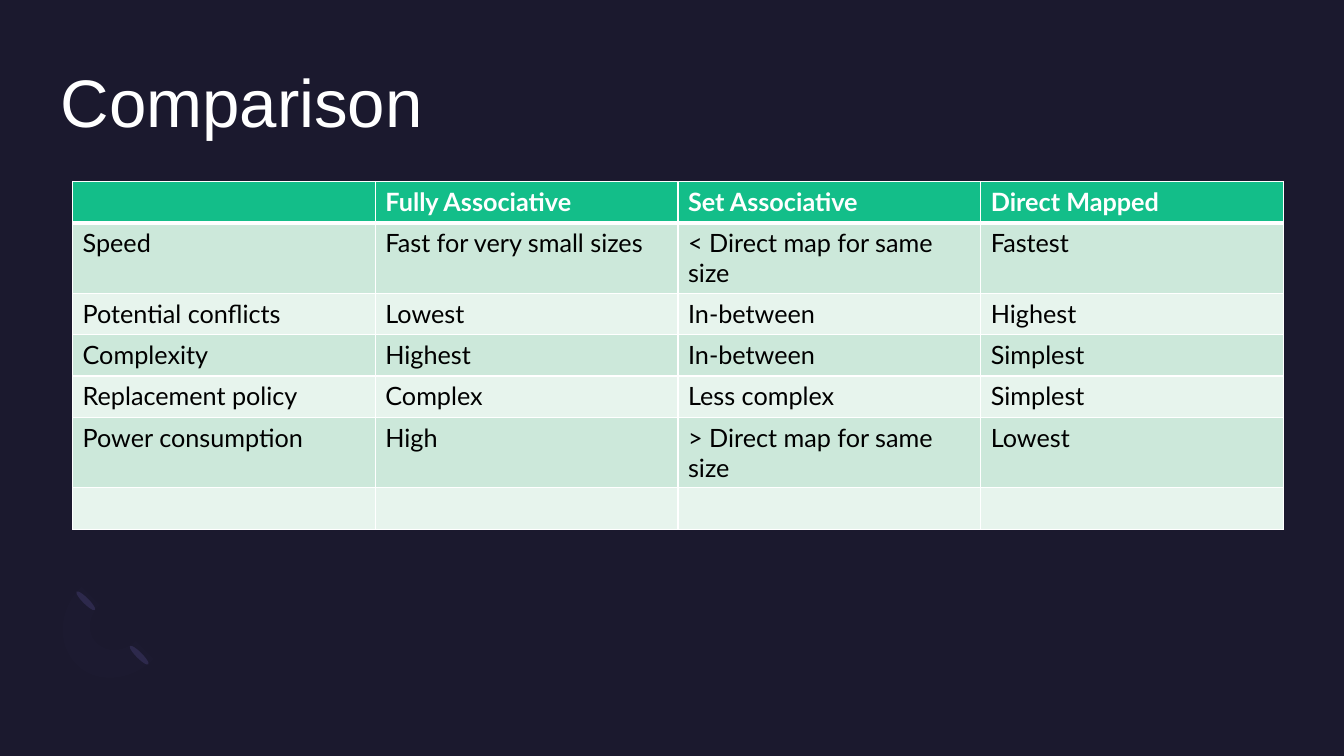
from dataclasses import dataclass

from lxml import etree
from pptx import Presentation
from pptx import util as u
from pptx.dml.color import RGBColor
from pptx.enum import shapes, text
from pptx.oxml import ns

PX = 9144  # EMU per px, 100 px to the inch
NAVY, WHITE, BLACK = "1B192E", "FFFFFF", "000000"
GREEN, MINT, PALE = "13BE89", "CCE8DA", "E7F4ED"
INDIGO, LILAC = "2C284A", "7771B2"

ROWS = [
    ("", "Fully Associative", "Set Associative", "Direct Mapped"),
    ("Speed", "Fast for very small sizes", "< Direct map for same size", "Fastest"),
    ("Potential conflicts", "Lowest", "In-between", "Highest"),
    ("Complexity", "Highest", "In-between", "Simplest"),
    ("Replacement policy", "Complex", "Less complex", "Simplest"),
    ("Power consumption", "High", "> Direct map for same size", "Lowest"),
    ("", "", "", ""),
]


@dataclass
class Petal:
    left: int
    top: int
    width: int = 6
    height: int = 26
    angle: int = 135


PETALS = [Petal(135, 637), Petal(82, 583)]

# Ring outline: each step is one end point, or two control points and an end point
RING_START = (76, 659)
RING_STEPS = [
    [(56, 639), (58, 605), (81, 582)],
    [(99, 600)],
    [(87, 611), (86, 629), (96, 638)],
    [(106, 648), (123, 647), (135, 636)],
    [(152, 654)],
    [(130, 676), (95, 679), (76, 659)],
]


def px(n: float) -> int:
    return u.Emu(round(n * PX))


def rgb(color: str) -> RGBColor:
    return RGBColor.from_string(color)


def paint(sp, color: str) -> None:
    sp.fill.solid()
    sp.fill.fore_color.rgb = rgb(color)
    sp.line.fill.background()
    sp.shadow.inherit = False


def write(tf, words: str, *, size: int, font: str, color: str, bold: bool = False) -> None:
    r = tf.paragraphs[0].add_run()
    r.text = words
    r.font.size = u.Pt(size)
    r.font.name = font
    r.font.bold = bold
    r.font.color.rgb = rgb(color)


def curve(start: tuple, step: list, parts: int = 12) -> list:
    """Points along a straight or cubic step."""
    if len(step) == 1:
        return step
    points = [start, *step]
    weights = (1, 3, 3, 1)
    return [
        tuple(
            sum(w * (1 - t) ** (3 - i) * t ** i * p[axis]
                for i, (w, p) in enumerate(zip(weights, points)))
            for axis in (0, 1)
        )
        for t in (k / parts for k in range(1, parts + 1))
    ]


def draw_petal(slide, petal: Petal) -> None:
    sp = slide.shapes.add_shape(shapes.MSO_SHAPE.OVAL, px(petal.left), px(petal.top),
                                px(petal.width), px(petal.height))
    sp.rotation = petal.angle
    paint(sp, INDIGO)


def draw_ring(slide) -> None:
    outline, here = [], RING_START
    for step in RING_STEPS:
        outline += curve(here, step)
        here = step[-1]
    builder = slide.shapes.build_freeform(px(RING_START[0]), px(RING_START[1]))
    builder.add_line_segments([(px(x), px(y)) for x, y in outline], close=True)
    sp = builder.convert_to_shape()
    paint(sp, LILAC)
    color = sp.fill._xPr.find(".//" + ns.qn("a:srgbClr"))
    etree.SubElement(color, ns.qn("a:alpha"), val="2000")


def set_borders(cell, bottom: int) -> None:
    tc_pr = cell._tc.get_or_add_tcPr()
    for side, width in (("L", 1), ("R", 1), ("T", 1), ("B", bottom)):
        ln = etree.SubElement(tc_pr, ns.qn(f"a:ln{side}"), w=str(u.Pt(width)))
        fill = etree.SubElement(ln, ns.qn("a:solidFill"))
        etree.SubElement(fill, ns.qn("a:srgbClr"), val=WHITE)


def draw_table(slide) -> None:
    row_height = 41
    table = slide.shapes.add_table(len(ROWS), len(ROWS[0]), px(72), px(180),
                                   px(1201), px(row_height * len(ROWS))).table
    for i, words in enumerate(ROWS):
        table.rows[i].height = px(row_height)
        header = i == 0
        for j, word in enumerate(words):
            cell = table.cell(i, j)
            set_borders(cell, 3 if header else 1)
            cell.fill.solid()
            cell.fill.fore_color.rgb = rgb(GREEN if header else MINT if i % 2 else PALE)
            if word:
                write(cell.text_frame, word, size=18, font="Lato",
                      color=WHITE if header else BLACK, bold=header)


def draw_title(slide) -> None:
    title = slide.shapes.title
    title.left, title.top, title.width, title.height = map(px, (60, 60, 1213, 146))
    tf = title.text_frame
    tf.margin_left = tf.margin_top = tf.margin_right = tf.margin_bottom = 0
    tf.vertical_anchor = text.MSO_ANCHOR.TOP
    tf.paragraphs[0].alignment = text.PP_ALIGN.LEFT
    write(tf, "Comparison", size=48, font="Arial", color=WHITE)


def main() -> None:
    prs = Presentation()
    prs.slide_width, prs.slide_height = px(1333), px(750)
    slide = prs.slides.add_slide(prs.slide_layouts[5])
    slide.background.fill.solid()
    slide.background.fill.fore_color.rgb = rgb(NAVY)

    # Corner ornament
    for petal in PETALS:
        draw_petal(slide, petal)
    draw_ring(slide)

    # Content
    draw_title(slide)
    draw_table(slide)
    prs.save("out.pptx")


if __name__ == "__main__":
    main()
